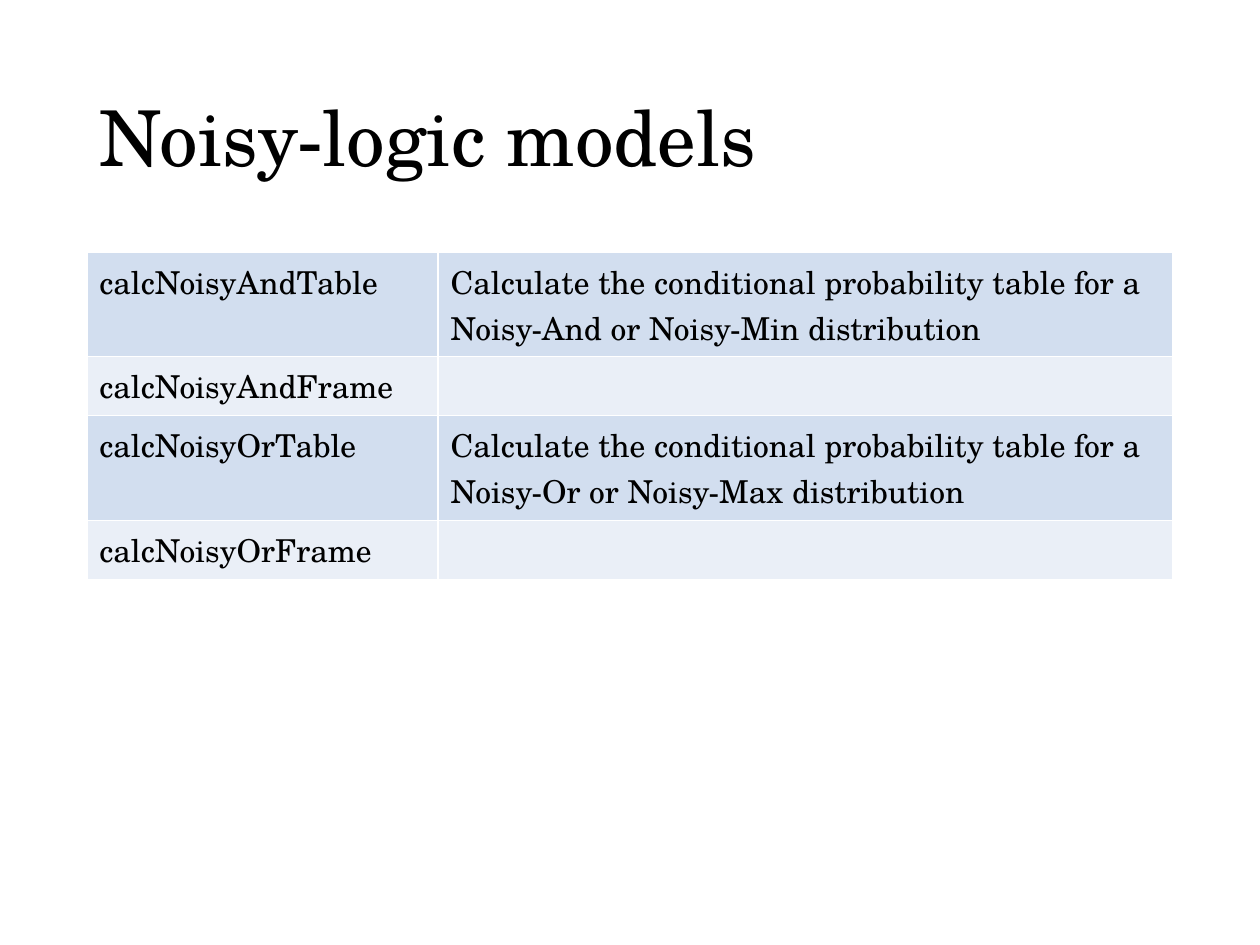
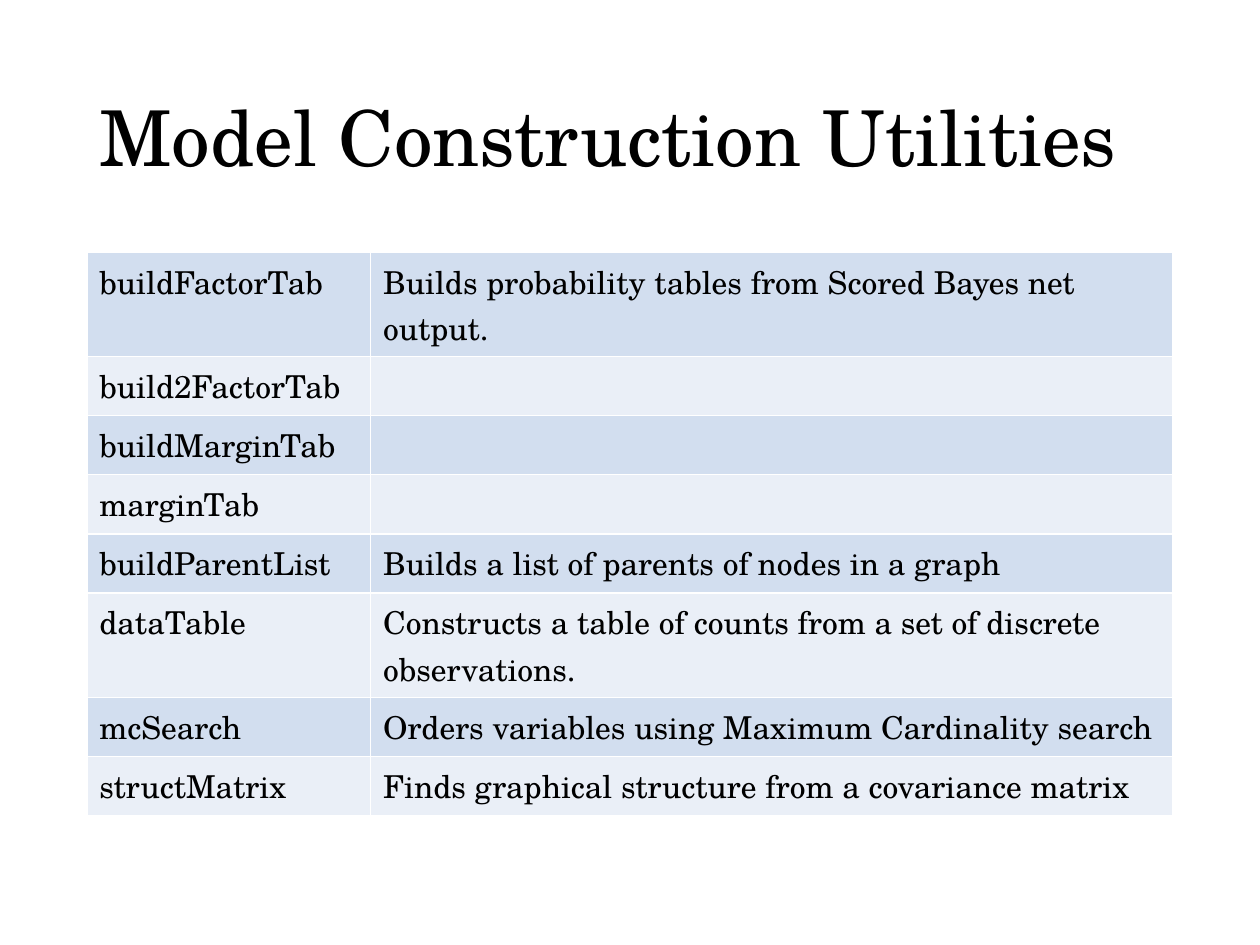
from pptx import Presentation
from pptx.dml.color import RGBColor
from pptx.enum.text import MSO_ANCHOR
from pptx.util import Cm, Pt

FONT = "TeX Gyre Schola"
COLORS = {
    "text": "000000",
    "odd": "D2DEEF",
    "even": "EAEFF7",
}
LEFT, WIDTH = 1.75, 21.9
TITLE_TOP, TITLE_HEIGHT = 1.02, 3.68
TABLE_TOP = 5.08
LINE_HEIGHT, ROW_PADDING, LINE_CHARS = 0.92, 0.27, 50

NOISY_LOGIC = [
    ("calcNoisyAndTable", "Calculate the conditional probability table for a "
                          "Noisy-And or Noisy-Min distribution"),
    ("calcNoisyAndFrame", ""),
    ("calcNoisyOrTable", "Calculate the conditional probability table for a "
                         "Noisy-Or or Noisy-Max distribution"),
    ("calcNoisyOrFrame", ""),
]
UTILITIES = [
    ("buildFactorTab", "Builds probability tables from Scored Bayes net output."),
    ("build2FactorTab", ""),
    ("buildMarginTab", ""),
    ("marginTab", ""),
    ("buildParentList", "Builds a list of parents of nodes in a graph"),
    ("dataTable", "Constructs a table of counts from a set of discrete observations."),
    ("mcSearch", "Orders variables using Maximum Cardinality search"),
    ("structMatrix", "Finds graphical structure from a covariance matrix"),
]


def color(name):
    return RGBColor.from_string(COLORS[name])


def set_text(tf, text, size):
    tf.text = text
    for r in tf.paragraphs[0].runs:
        r.font.name = FONT
        r.font.size = Pt(size)
        r.font.color.rgb = color("text")


def add_title(s, text):
    sp = s.shapes.add_textbox(Cm(LEFT), Cm(TITLE_TOP), Cm(WIDTH), Cm(TITLE_HEIGHT))
    tf = sp.text_frame
    tf.word_wrap = True
    tf.vertical_anchor = MSO_ANCHOR.MIDDLE
    set_text(tf, text, 44)
    tf.paragraphs[0].line_spacing = 0.9


def row_height(description):
    lines = 2 if len(description) > LINE_CHARS else 1
    return ROW_PADDING + LINE_HEIGHT * lines


def add_function_table(s, rows, name_width):
    heights = [row_height(description) for _, description in rows]
    frame = s.shapes.add_table(len(rows), 2, Cm(LEFT), Cm(TABLE_TOP),
                               Cm(WIDTH), Cm(sum(heights)))
    table = frame.table
    table.first_row = False
    table.columns[0].width = Cm(name_width)
    table.columns[1].width = Cm(WIDTH - name_width)
    for i, row in enumerate(rows):
        table.rows[i].height = Cm(heights[i])
        for j, text in enumerate(row):
            cell = table.cell(i, j)
            set_text(cell.text_frame, text, 18)
            cell.fill.solid()
            cell.fill.fore_color.rgb = color("even" if i % 2 else "odd")


def add_function_slide(prs, title, rows, name_width):
    s = prs.slides.add_slide(prs.slide_layouts[6])
    add_title(s, title)
    add_function_table(s, rows, name_width)


def main():
    prs = Presentation()
    prs.slide_width, prs.slide_height = Cm(25.4), Cm(19.05)
    add_function_slide(prs, "Noisy-logic models", NOISY_LOGIC, 7.08)
    add_function_slide(prs, "Model Construction Utilities", UTILITIES, 5.72)
    prs.save("out.pptx")


main()
